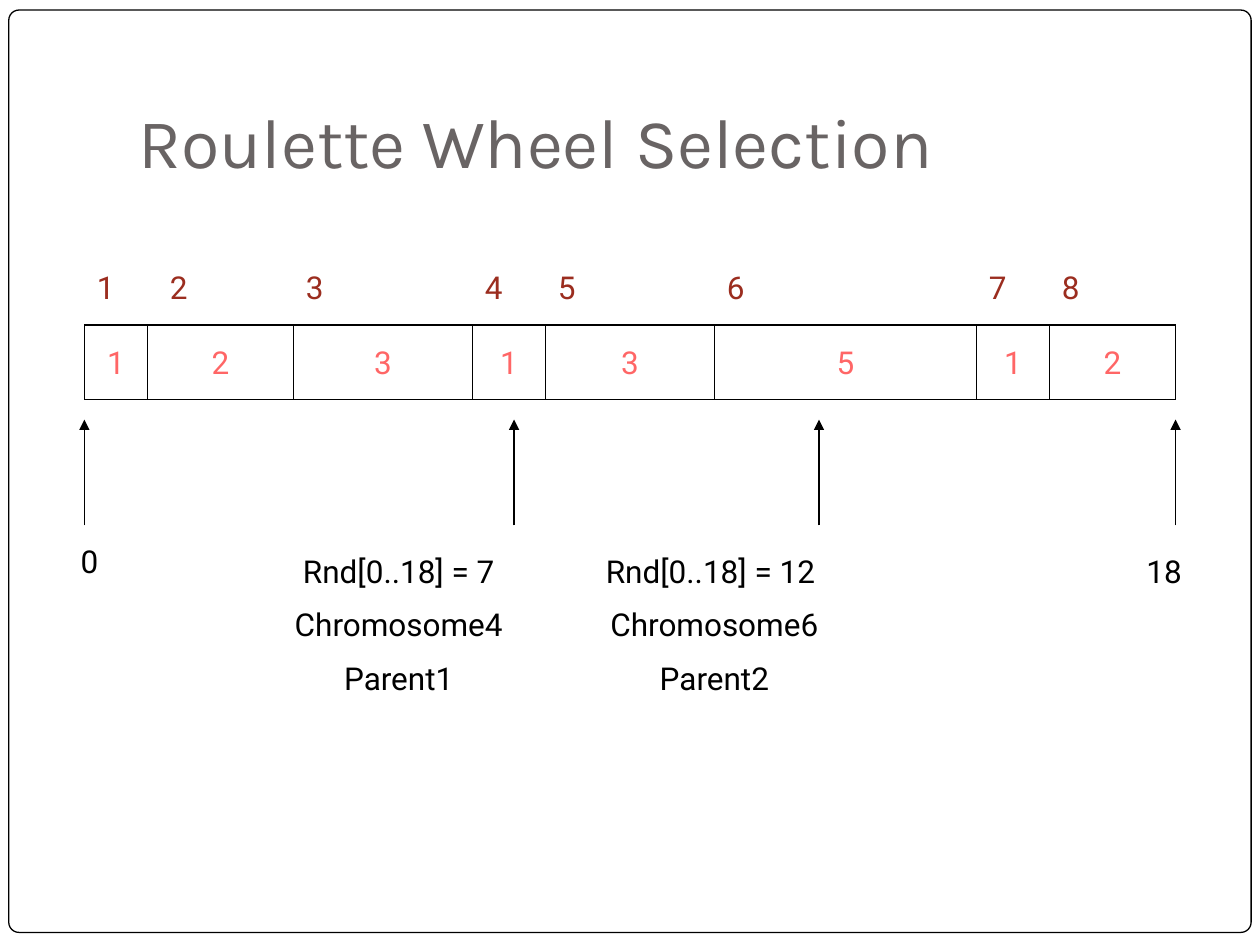
from pptx import Presentation
from pptx.dml.color import RGBColor
from pptx.enum import shapes, text
from pptx.oxml.ns import qn
from pptx.util import Inches, Pt
from lxml import etree

BLACK = RGBColor(0x00, 0x00, 0x00)
WHITE = RGBColor(0xFF, 0xFF, 0xFF)
GREY = RGBColor(0x69, 0x64, 0x64)
CORAL = RGBColor(0xFF, 0x66, 0x66)
BRICK = RGBColor(0x9B, 0x2D, 0x1F)

LEFT, CENTER = text.PP_ALIGN.LEFT, text.PP_ALIGN.CENTER

FITNESSES = [1, 2, 3, 1, 3, 5, 1, 2]
EDGES = [0.67, 1.17, 2.33, 3.75, 4.33, 5.67, 7.75, 8.33, 9.33]
LABEL_LEFTS = [0.67, 1.25] + EDGES[2:-1]

# Each pointer: arrow position, caption box (left, top, width, height), alignment, lines
POINTERS = [
    (0.67, (0.25, 4.25, 0.92, 0.5), CENTER, ["0"]),
    (9.33, (9, 4.33, 0.67, 0.5), LEFT, ["18"]),
    (4.08, (2, 4.33, 2.33, 1.7), CENTER,
     ["Rnd[0..18] = 7", "Chromosome4", "Parent1"]),
    (6.5, (4.42, 4.33, 2.5, 1.7), CENTER,
     ["Rnd[0..18] = 12 ", "Chromosome6", "Parent2"]),
]


def add_text(slide, box, lines, color, alignment=LEFT, size=18, font="Roboto"):
    shape = slide.shapes.add_textbox(*map(Inches, box))
    frame = shape.text_frame
    frame.word_wrap = True
    frame.text = "\n".join(lines)
    for index, paragraph in enumerate(frame.paragraphs):
        paragraph.alignment = alignment
        if index:
            paragraph.space_before = Pt(9)
        for run in paragraph.runs:
            run.font.size = Pt(size)
            run.font.name = font
            run.font.color.rgb = color
    return frame


def add_line(slide, x1, y1, x2, y2, arrow=False):
    line = slide.shapes.add_connector(
        shapes.MSO_CONNECTOR.STRAIGHT, *map(Inches, (x1, y1, x2, y2)))
    line.line.color.rgb = BLACK
    line.line.width = Pt(0.75)
    if arrow:
        etree.SubElement(line.line._get_or_add_ln(), qn("a:tailEnd"), type="triangle")
    etree.SubElement(line._element.spPr, qn("a:effectLst"))


def add_frame(slide, box):
    shape = slide.shapes.add_shape(
        shapes.MSO_SHAPE.ROUNDED_RECTANGLE, *map(Inches, box))
    shape.adjustments[0] = 0.011
    shape.shadow.inherit = False
    shape.fill.solid()
    shape.fill.fore_color.rgb = WHITE
    shape.line.color.rgb = BLACK
    shape.line.width = Pt(0.75)


def add_title(slide, box):
    frame = add_text(slide, box, ["Roulette Wheel Selection"], GREY,
                     size=40, font="Karla")
    frame.vertical_anchor = text.MSO_ANCHOR.BOTTOM
    frame.margin_bottom = Inches(0.1)


def add_wheel_strip(slide, top, height):
    """Draw the unrolled wheel: one cell per chromosome, its number above."""
    bottom = top + height
    for y in (top, bottom):
        add_line(slide, EDGES[0], y, EDGES[-1], y)
    for x in EDGES:
        add_line(slide, x, top, x, bottom)
    for left, right, fitness in zip(EDGES, EDGES[1:], FITNESSES):
        add_text(slide, (left, top + 0.09, right - left, 0.5),
                 [str(fitness)], CORAL, CENTER)
    for number, left in enumerate(LABEL_LEFTS, start=1):
        add_text(slide, (left, top - 0.5, 0.6, 0.5), [str(number)], BRICK)


def add_pointers(slide, top, bottom):
    for x, box, alignment, lines in POINTERS:
        add_line(slide, x, bottom, x, top, arrow=True)
        add_text(slide, box, lines, BLACK, alignment)


def main():
    presentation = Presentation()
    presentation.slide_width = Inches(10)
    presentation.slide_height = Inches(7.5)
    slide = presentation.slides.add_slide(presentation.slide_layouts[6])
    add_frame(slide, (0.07, 0.08, 9.86, 7.32))
    add_title(slide, (1, 0.3, 8.5, 1.25))
    add_wheel_strip(slide, top=2.58, height=0.59)
    add_pointers(slide, top=3.33, bottom=4.17)
    presentation.save("out.pptx")


if __name__ == "__main__":
    main()
